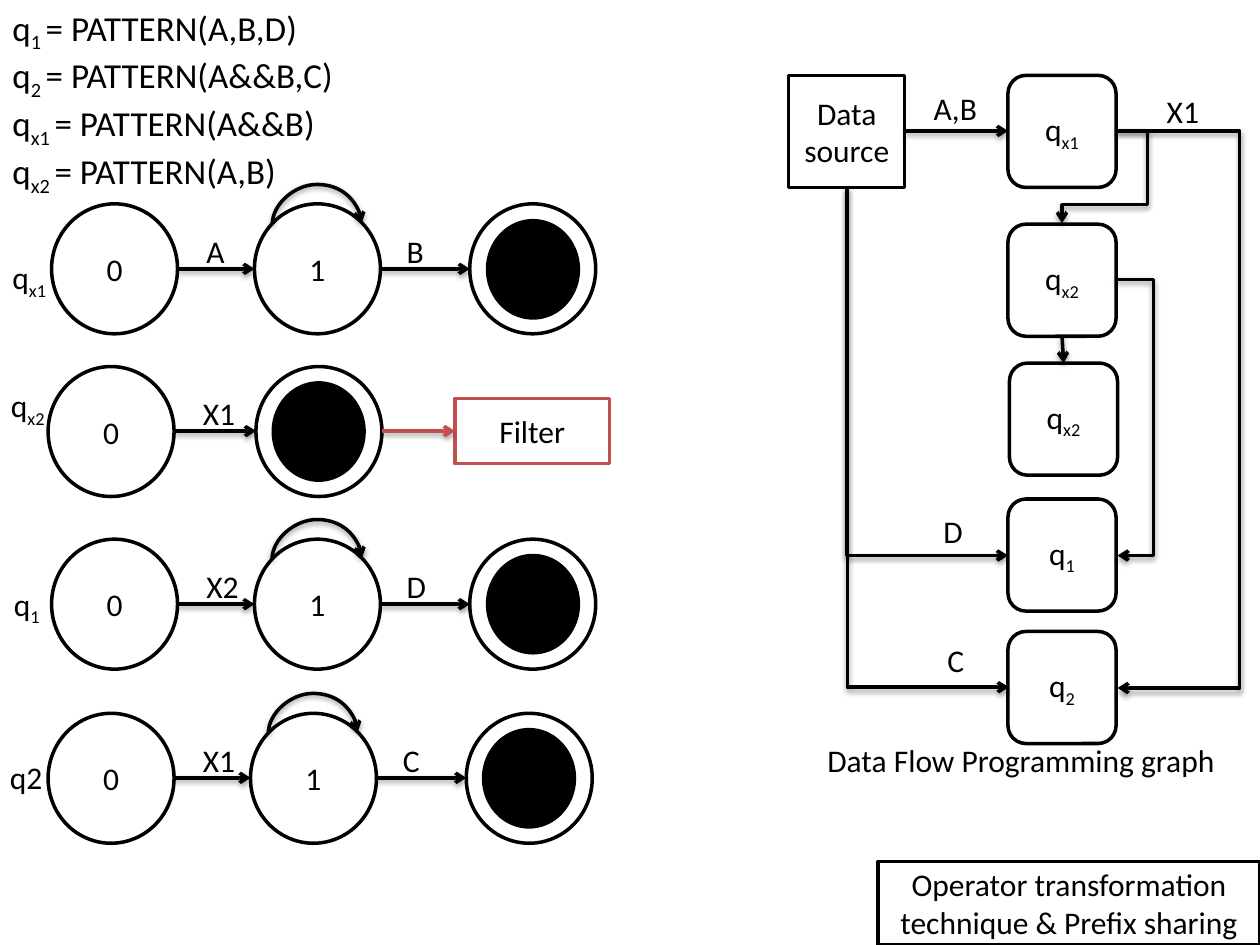
from lxml import etree
from pptx import Presentation, util as u
from pptx.dml.color import RGBColor
from pptx.enum import shapes, text
from pptx.oxml.ns import qn

BLACK = RGBColor(0x00, 0x00, 0x00)
WHITE = RGBColor(0xFF, 0xFF, 0xFF)
RED = RGBColor(0xC0, 0x50, 0x4D)
KIND = shapes.MSO_SHAPE
WIRE = shapes.MSO_CONNECTOR

# An underscore switches between normal and subscript text.
RULES = ["q_1 _= PATTERN(A,B,D)", "q_2 _= PATTERN(A&&B,C)",
         "q_x1 _= PATTERN(A&&B)", "q_x2 _= PATTERN(A,B)"]
CHAINS = [
    (0.41, 1.62, [("A", 0.35), ("B", 0.35)]),
    (0.41, 4.28, [("X2", 0.46), ("D", 0.36)]),
    (0.38, 5.66, [("X1", 0.46), ("C", 0.34)]),
]
LABELS = [
    ("q_x1", 0, 2, 0.49), ("q_x2", -0.01, 3.01, 0.49),
    ("q_1", 0.01, 4.59, 0.42), ("q2", -0.02, 5.97, 0.46),
    ("X1", 1.51, 3.08, 0.46), ("A,B", 7.31, 0.66, 0.55),
    ("X1", 9.16, 0.68, 0.46), ("D", 7.39, 4.01, 0.36),
    ("C", 7.42, 5.04, 0.34),
    ("Data Flow Programming graph", 6.47, 5.83, 3.39),
]
STEPS = [("q_x1", 8, 0.6), ("q_x2", 8, 1.78), ("q_x2", 8.01, 2.88),
         ("q_1", 8, 3.96), ("q_2", 8, 5.01)]
BOXES = [
    ("Data source", 6.26, 0.6, 0.92, 0.89, BLACK),
    ("Operator transformation technique & Prefix sharing",
     6.97, 6.84, 3.03, 0.66, BLACK),
    ("Filter", 3.61, 3.16, 1.23, 0.52, RED),
]
LINES = [
    (7.18, 1.04, 8, 1.04, BLACK), (8.43, 2.67, 8.44, 2.88, BLACK),
    (1.38, 3.42, 2.03, 3.42, BLACK), (3.03, 3.42, 3.61, 3.42, RED),
]
BENDS = [
    ("bentConnector4", (8.86, 1.04, 8.43, 1.77), 0, (-0.58, 0.8)),
    ("bentConnector3", (8.86, 2.22, 8.87, 4.41), 0, (25,)),
    ("bentConnector3", (8.86, 1.04, 8.87, 5.46), 0, (83,)),
    ("bentConnector2", (8.82, 2.31, 5.9, 3.59), 270, ()),
    ("bentConnector2", (9.35, 2.83, 5.38, 4.11), 270, ()),
]
DISC, TALL = 1, 1.03

deck = Presentation()
deck.slide_width, deck.slide_height = u.Cm(25.4), u.Cm(19.05)
slide = deck.slides.add_slide(deck.slide_layouts[6])


def cm(*vals):
    return [u.Cm(round(v * 2.54, 2)) for v in vals]


def write(para, words, size=18):
    for i, part in enumerate(words.split("_")):
        run = para.add_run()
        run.text = part
        run.font.size = u.Pt(size)
        run.font.name = "Calibri"
        run.font.color.rgb = BLACK
        if i % 2:
            run.font._element.set("baseline", "-25000")


def label(rows, x, y, w, h=0.41, size=18, wrap=False):
    frame = slide.shapes.add_textbox(*cm(x, y, w, h)).text_frame
    frame.word_wrap = wrap
    frame.auto_size = text.MSO_AUTO_SIZE.SHAPE_TO_FIT_TEXT
    for i, row in enumerate(rows):
        para = frame.add_paragraph() if i else frame.paragraphs[0]
        write(para, row, size)


def block(kind, x, y, w, h, words="", fill=WHITE, edge=BLACK):
    item = slide.shapes.add_shape(kind, *cm(x, y, w, h))
    item.shadow.inherit = False
    item.fill.solid()
    item.fill.fore_color.rgb = fill
    item.line.color.rgb = edge
    item.line.width = u.Pt(2)
    if words:
        frame = item.text_frame
        frame.vertical_anchor = text.MSO_ANCHOR.MIDDLE
        frame.paragraphs[0].alignment = text.PP_ALIGN.CENTER
        write(frame.paragraphs[0], words)


def arrow(ends, color=BLACK, kind=WIRE.STRAIGHT):
    wire = slide.shapes.add_connector(kind, *cm(*ends))
    wire.line.color.rgb = color
    wire.line.width = u.Pt(2)
    etree.SubElement(wire.line._get_or_add_ln(), qn("a:tailEnd"), type="arrow")
    return wire


def bend(preset, ends, turn, adj, kind=WIRE.ELBOW):
    props = arrow(ends, kind=kind)._element.spPr
    props.find(qn("a:xfrm")).set("rot", str(turn * 60000))
    geom = props.find(qn("a:prstGeom"))
    geom.clear()
    geom.set("prst", preset)
    guides = etree.SubElement(geom, qn("a:avLst"))
    for i, val in enumerate(adj, 1):
        etree.SubElement(guides, qn("a:gd"), name=f"adj{i}",
                         fmla=f"val {round(val * 100000)}")


def final(x, y):
    block(KIND.OVAL, x, y, DISC, TALL)
    block(KIND.OVAL, x + 0.14, y + 0.13, 0.72, 0.77, fill=BLACK)


def chain(x, y, marks):
    mid, end, axis = x + 1.61, x + 3.32, y + TALL / 2
    block(KIND.OVAL, x, y, DISC, TALL, "0")
    block(KIND.OVAL, mid, y, DISC, TALL, "1")
    final(end, y)
    for start, stop, shift, (mark, wide) in zip((x, mid), (mid, end),
                                                (1.13, 2.72), marks):
        arrow((start + DISC, axis, stop, axis))
        label([mark], x + shift, y + 0.17, wide)
    bend("curvedConnector3", (x + 2.11, y + 0.51, x + 2.1, y - 0.2),
         90, (40,), WIRE.CURVE)


label(RULES, 0, 0, 2.81, 1.49, 20)
for row in CHAINS:
    chain(*row)
block(KIND.OVAL, 0.38, 2.91, DISC, TALL, "0")
final(2.03, 2.91)
for words, x, y, w, h, edge in BOXES:
    block(KIND.RECTANGLE, x, y, w, h, words, edge=edge)
for words, x, y in STEPS:
    block(KIND.ROUNDED_RECTANGLE, x, y, 0.86, 0.89, words)
for *ends, color in LINES:
    arrow(ends, color)
for row in BENDS:
    bend(*row)
for words, x, y, w in LABELS:
    label([words], x, y, w, wrap=w > 3)

deck.save("out.pptx")
